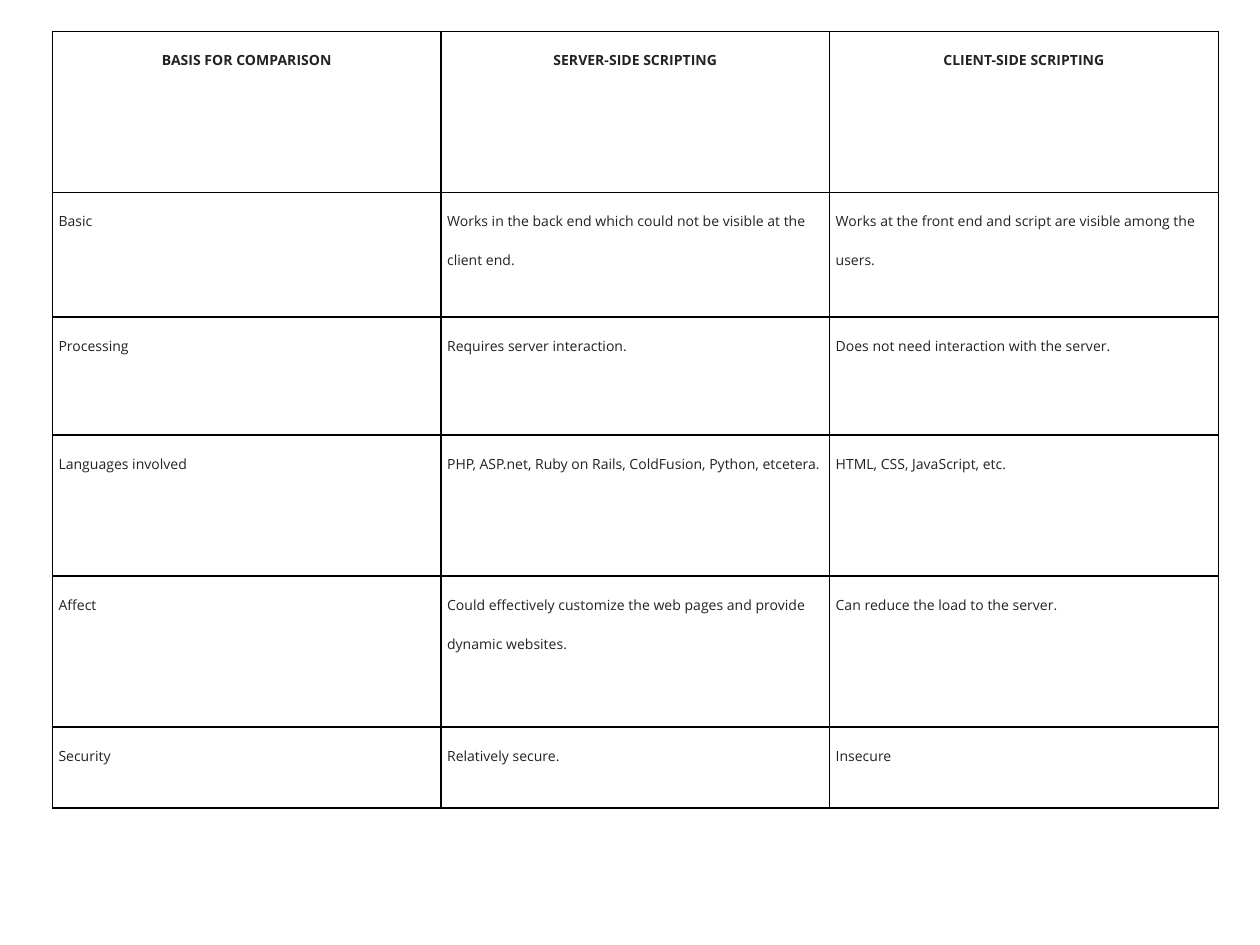
from lxml import etree
from pptx import Presentation
from pptx import util as u
from pptx.dml.color import RGBColor
from pptx.enum import text
from pptx.oxml.ns import qn

COLORS = {"ink": "222222", "border": "000000", "paper": "FFFFFF"}
FONT = "Open Sans"
ROW_HEIGHTS = [3.25, 2.51, 2.38, 2.84, 3.05, 1.63]
COMPARISON = [
    ("BASIS FOR COMPARISON", "SERVER-SIDE SCRIPTING", "CLIENT-SIDE SCRIPTING"),
    ("Basic",
     "Works in the back end which could not be visible at the client end.",
     "Works at the front end and script are visible among the users."),
    ("Processing", "Requires server interaction.",
     "Does not need interaction with the server."),
    ("Languages involved",
     "PHP, ASP.net, Ruby on Rails, ColdFusion, Python, etcetera.",
     "HTML, CSS, JavaScript, etc."),
    ("Affect",
     "Could effectively customize the web pages and provide dynamic websites.",
     "Can reduce the load to the server."),
    ("Security", "Relatively secure.", "Insecure"),
]


def add_borders(cell):
    properties = cell._tc.get_or_add_tcPr()
    for side in ("a:lnL", "a:lnR", "a:lnT", "a:lnB"):
        line = etree.SubElement(properties, qn(side), w=str(u.Pt(1)))
        fill = etree.SubElement(line, qn("a:solidFill"))
        etree.SubElement(fill, qn("a:srgbClr"), val=COLORS["border"])


def format_cell(cell, words, heading):
    add_borders(cell)
    cell.fill.solid()
    cell.fill.fore_color.rgb = RGBColor.from_string(COLORS["paper"])
    cell.margin_left = cell.margin_right = u.Cm(0.12)
    cell.margin_top = cell.margin_bottom = u.Cm(0)
    cell.text_frame.text = words
    para = cell.text_frame.paragraphs[0]
    para.alignment = text.PP_ALIGN.CENTER if heading else text.PP_ALIGN.LEFT
    para.line_spacing = 2.0
    para.space_after = u.Pt(12)
    font = para.runs[0].font
    font.name = FONT
    font.size = u.Pt(8)
    font.bold = heading
    font.color.rgb = RGBColor.from_string(COLORS["ink"])


def add_comparison(page, left, top, width, row_heights, rows):
    columns = len(rows[0])
    table = page.shapes.add_table(len(rows), columns, u.Cm(left), u.Cm(top),
                                  u.Cm(width), u.Cm(sum(row_heights))).table
    table.horz_banding = False
    for column in table.columns:
        column.width = u.Cm(width / columns)
    for index, (height, entries) in enumerate(zip(row_heights, rows)):
        table.rows[index].height = u.Cm(height)
        for cell, words in zip(table.rows[index].cells, entries):
            format_cell(cell, words, heading=index == 0)


deck = Presentation()
deck.slide_width, deck.slide_height = u.Cm(25.4), u.Cm(19.05)
page = deck.slides.add_slide(deck.slide_layouts[6])
add_comparison(page, 1.06, 0.63, 23.5, ROW_HEIGHTS, COMPARISON)
deck.save("out.pptx")
